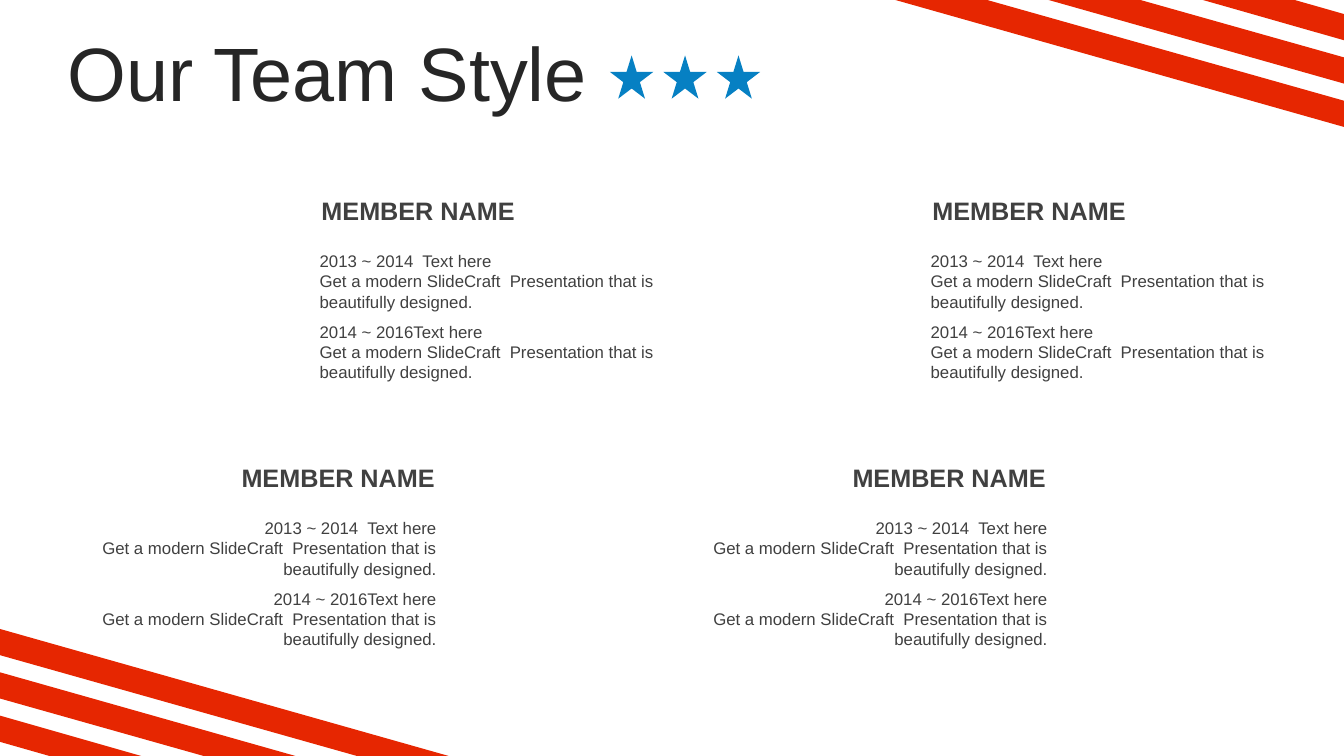
from pptx import Presentation
from pptx.dml.color import RGBColor
from pptx.enum.shapes import MSO_SHAPE
from pptx.enum.text import MSO_ANCHOR, MSO_AUTO_SIZE, PP_ALIGN
from pptx.util import Inches, Pt

TITLE = "Our Team Style"
MEMBER = "MEMBER NAME"
DESCRIPTION = "Get a modern SlideCraft  Presentation that is beautifully designed."
PERIODS = ["2013 ~ 2014  Text here", "2014 ~ 2016Text here"]

# left, top, alignment of each member block
MEMBERS = [
    (3.09, 1.89, PP_ALIGN.LEFT),
    (9.15, 1.89, PP_ALIGN.LEFT),
    (0.89, 4.54, PP_ALIGN.RIGHT),
    (6.95, 4.54, PP_ALIGN.RIGHT),
]

# Stripes of the bottom left corner; the top right corner is the same, turned by 180 degrees
STRIPES = [
    [(0, 7.1), (1.4, 7.5), (0.49, 7.5), (0, 7.36)],
    [(0, 6.67), (2.93, 7.5), (2.02, 7.5), (0, 6.93)],
    [(0, 6.24), (4.45, 7.5), (3.54, 7.5), (0, 6.5)],
]

WIDTH, HEIGHT = 13.33, 7.5
BLOCK_WIDTH = 3.52
STAR_LEFT, STAR_TOP, STAR_SIZE, STAR_STEP = 6.05, 0.55, 0.43, 0.53
FONT = "Arial"
RED = RGBColor(0xE6, 0x26, 0x01)
BLUE = RGBColor(0x06, 0x80, 0xC3)
DARK = RGBColor(0x26, 0x26, 0x26)
GRAY = RGBColor(0x40, 0x40, 0x40)


def paint(sp, color):
    sp.shadow.inherit = False
    sp.fill.solid()
    sp.fill.fore_color.rgb = color
    sp.line.fill.background()


def add_stripes(shapes, stripes):
    """Draw all stripes of one corner as a single freeform."""
    outlines = [[(Inches(x), Inches(y)) for x, y in stripe] for stripe in stripes]
    builder = shapes.build_freeform(*outlines[0][0])
    for i, outline in enumerate(outlines):
        if i:
            builder.move_to(*outline[0])
        builder.add_line_segments(outline[1:], close=True)
    paint(builder.convert_to_shape(), RED)


def add_text(shapes, box, lines, size, color, align=PP_ALIGN.LEFT, bold=False):
    sp = shapes.add_textbox(*map(Inches, box))
    tf = sp.text_frame
    tf.word_wrap = True
    tf.text = "\n".join(lines)
    for p in tf.paragraphs:
        p.alignment = align
        for r in p.runs:
            r.font.name = FONT
            r.font.size = Pt(size)
            r.font.bold = bold
            r.font.color.rgb = color
    return tf


def add_member(shapes, left, top, align):
    group = shapes.add_group_shape().shapes
    for i, period in enumerate(PERIODS):
        box = (left, top + 0.55 + 0.7 * i, BLOCK_WIDTH, 0.71)
        tf = add_text(group, box, [period, DESCRIPTION], 12, GRAY, align)
        tf.margin_left = tf.margin_right = Inches(0.08)
        tf.auto_size = MSO_AUTO_SIZE.SHAPE_TO_FIT_TEXT
    tf = add_text(group, (left, top, BLOCK_WIDTH, 0.4), [MEMBER], 18, GRAY, align, bold=True)
    tf.vertical_anchor = MSO_ANCHOR.MIDDLE


def main():
    prs = Presentation()
    prs.slide_width, prs.slide_height = Inches(WIDTH), Inches(HEIGHT)
    shapes = prs.slides.add_slide(prs.slide_layouts[6]).shapes

    add_stripes(shapes, STRIPES)
    add_stripes(shapes, [[(WIDTH - x, HEIGHT - y) for x, y in s] for s in STRIPES])

    title = add_text(shapes, (0.57, 0.37, 12.44, 0.79), [TITLE], 54, DARK)
    title.vertical_anchor = MSO_ANCHOR.MIDDLE
    title.paragraphs[0].line_spacing = 0.9

    stars = shapes.add_group_shape().shapes
    for i in range(3):
        box = (STAR_LEFT + i * STAR_STEP, STAR_TOP, STAR_SIZE, STAR_SIZE)
        paint(stars.add_shape(MSO_SHAPE.STAR_5_POINT, *map(Inches, box)), BLUE)

    for left, top, align in MEMBERS:
        add_member(shapes, left, top, align)

    prs.save("out.pptx")


if __name__ == "__main__":
    main()
